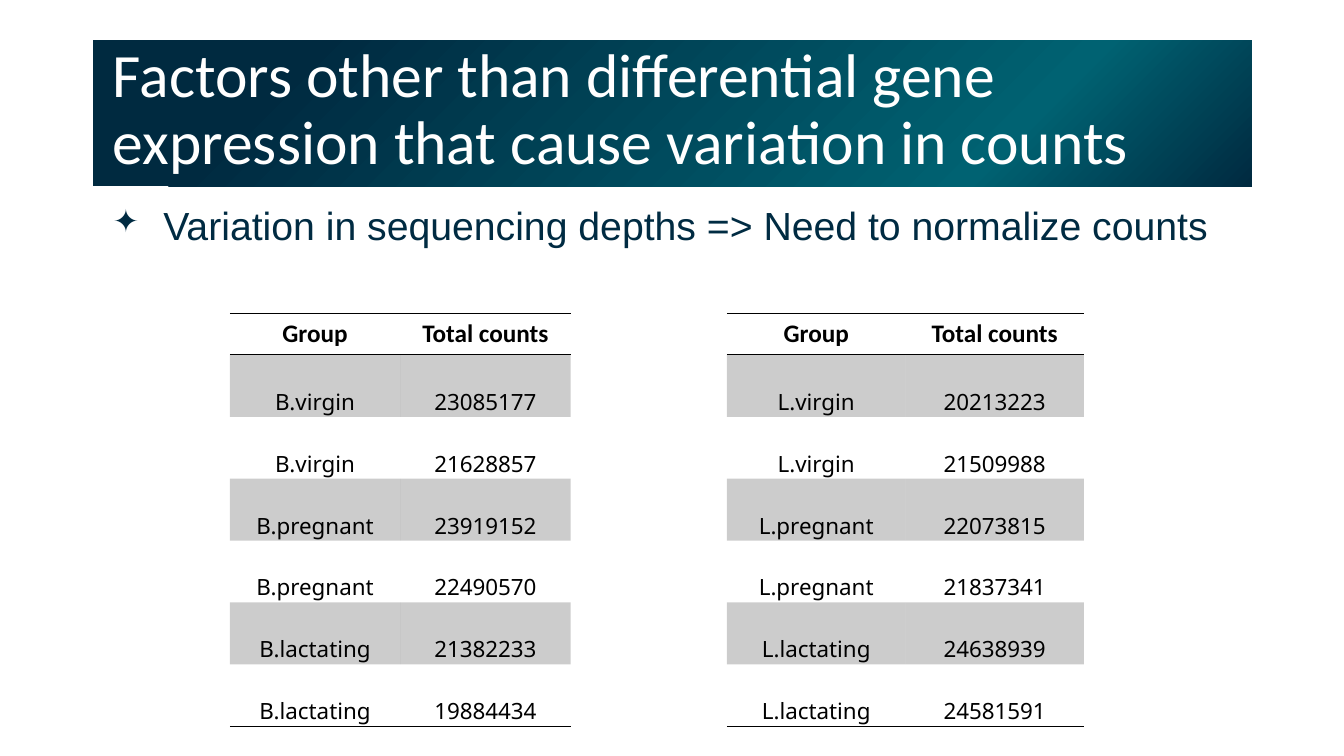
from lxml import etree
from pptx import Presentation
from pptx.dml.color import RGBColor
from pptx.enum.shapes import MSO_SHAPE
from pptx.enum.text import MSO_ANCHOR, MSO_AUTO_SIZE, PP_ALIGN
from pptx.oxml import parse_xml
from pptx.oxml.ns import nsdecls, qn
from pptx.util import Inches, Pt

RECTANGLE = MSO_SHAPE.RECTANGLE
TOP, MIDDLE, BOTTOM = MSO_ANCHOR.TOP, MSO_ANCHOR.MIDDLE, MSO_ANCHOR.BOTTOM
GROW = MSO_AUTO_SIZE.SHAPE_TO_FIT_TEXT
LEFT, CENTER = PP_ALIGN.LEFT, PP_ALIGN.CENTER
PLAIN_TABLE = "{2D5ABB26-0587-4C30-8999-92F81FD0307C}"

NAVY, TEAL, WHITE, BLACK = "002A40", "006272", "FFFFFF", "000000"
BANNER_STOPS = [(0, NAVY), (22, TEAL), (83, NAVY), (100, NAVY)]

TITLE = "Factors other than differential gene expression that cause variation in counts"
MESSAGE = "Variation in sequencing depths => Need to normalize counts"
HEADINGS = ("Group", "Total counts")
STAGES = ("virgin", "virgin", "pregnant", "pregnant", "lactating", "lactating")
# Cell type: left edge and column width in percent of the slide, total counts
SAMPLES = {
    "B": (17.1, 12.68, (23085177, 21628857, 23919152, 22490570, 21382233, 19884434)),
    "L": (54.09, 13.28, (20213223, 21509988, 22073815, 21837341, 24638939, 24581591)),
}

FONTS = {
    "title": {"name": "Calibri", "size": Pt(44), "color": WHITE},
    "message": {"name": "Arial", "size": Pt(28), "color": "002B42"},
    "heading": {"name": "Calibri", "size": Pt(18), "color": BLACK, "bold": True},
    "count": {"name": "Noto Sans", "size": Pt(16), "color": BLACK, "bold": False},
}


def rgb(hex_code):
    return RGBColor.from_string(hex_code)


def set_all(target, **values):
    for name, value in values.items():
        setattr(target, name, value)


def margins(left, top, right, bottom):
    return {"margin_left": Inches(left), "margin_top": Inches(top),
            "margin_right": Inches(right), "margin_bottom": Inches(bottom)}


class SlideBuilder:
    """Lengths passed to the methods are percentages of the slide's size."""

    def __init__(self, deck):
        self.width, self.height = deck.slide_width, deck.slide_height
        self.slide = deck.slides.add_slide(deck.slide_layouts[6])

    def box(self, left, top, width, height):
        return (round(self.width * left / 100), round(self.height * top / 100),
                round(self.width * width / 100), round(self.height * height / 100))

    def put_text(self, frame, text, role, **paragraph_format):
        paragraph = frame.paragraphs[0]
        set_all(paragraph, **paragraph_format)
        run = paragraph.add_run()
        run.text = text
        style = dict(FONTS[role])
        run.font.color.rgb = rgb(style.pop("color"))
        set_all(run.font, **style)
        return paragraph

    def banner(self, place, text):
        banner = self.slide.shapes.add_shape(RECTANGLE, *self.box(*place))
        banner.shadow.inherit = False
        banner.line.fill.background()
        banner.fill.background()
        stops = "".join(f'<a:gs pos="{share * 1000}"><a:srgbClr val="{color}"/></a:gs>'
                        for share, color in BANNER_STOPS)
        gradient = parse_xml(
            f'<a:gradFill {nsdecls("a")} rotWithShape="1"><a:gsLst>{stops}</a:gsLst>'
            '<a:path path="circle"><a:fillToRect l="100000" t="100000"/></a:path>'
            '<a:tileRect r="-100000" b="-100000"/></a:gradFill>')
        properties = banner.element.spPr
        properties.replace(properties.find(qn("a:noFill")), gradient)
        set_all(banner.text_frame, word_wrap=True, vertical_anchor=MIDDLE,
                **margins(0.2, 0, 0.1, 0.05))
        self.put_text(banner.text_frame, text, "title", alignment=LEFT, line_spacing=0.9)

    def bullet(self, place, text):
        frame = self.slide.shapes.add_textbox(*self.box(*place)).text_frame
        set_all(frame, word_wrap=True, auto_size=GROW, vertical_anchor=TOP,
                **margins(0.2, 0, 0, 0))
        paragraph = self.put_text(frame, text, "message", line_spacing=0.9,
                                  space_before=Pt(10))
        layout = paragraph._p.get_or_add_pPr()
        layout.set("marL", str(Inches(0.5)))
        layout.set("indent", str(-Inches(0.5)))
        etree.SubElement(layout, qn("a:buSzPct"), val="80000")
        etree.SubElement(layout, qn("a:buChar"), char="✦")

    def rule(self, cell, edges):
        """Draw black lines on the given edges, T or B, of a cell."""
        for position, edge in enumerate(edges):
            line = parse_xml(
                f'<a:ln{edge} {nsdecls("a")} w="12700"><a:solidFill>'
                f'<a:srgbClr val="{BLACK}"/></a:solidFill></a:ln{edge}>')
            cell._tc.get_or_add_tcPr().insert(position, line)

    def shade(self, cell):
        cell.fill.solid()
        cell.fill.fore_color.rgb = rgb(BLACK)
        for color in cell._tc.tcPr.find(qn("a:solidFill")):
            etree.SubElement(color, qn("a:alpha"), val="20000")

    def counts_table(self, left, top, column_width, heading_height, row_height, rows):
        total_height = heading_height + row_height * len(rows)
        frame = self.slide.shapes.add_table(
            len(rows) + 1, len(HEADINGS),
            *self.box(left, top, column_width * len(HEADINGS), total_height))
        table = frame.table
        set_all(table, first_row=False, horz_banding=False)
        for style in frame.element.iter(qn("a:tableStyleId")):
            style.text = PLAIN_TABLE
        for column in table.columns:
            column.width = round(self.width * column_width / 100)
        for index, values in enumerate([HEADINGS, *rows]):
            share = row_height if index else heading_height
            table.rows[index].height = round(self.height * share / 100)
            for cell, value in zip(table.rows[index].cells, values):
                self.put_text(cell.text_frame, str(value),
                              "count" if index else "heading", alignment=CENTER)
                if index:
                    set_all(cell, vertical_anchor=BOTTOM, **margins(0.01, 0.01, 0.01, 0))
                if index % 2:
                    self.shade(cell)
                else:
                    cell.fill.background()
                if index == 0:
                    self.rule(cell, "TB")
                elif index == len(rows):
                    self.rule(cell, "B")


def main():
    deck = Presentation()
    set_all(deck, slide_width=Inches(13.33), slide_height=Inches(7.5))
    builder = SlideBuilder(deck)
    builder.bullet((6.9, 27.33, 86.25, 5.6), MESSAGE)
    builder.banner((6.9, 5.33, 86.25, 19.33), TITLE)
    for cell_type, (left, column_width, counts) in SAMPLES.items():
        rows = [(f"{cell_type}.{stage}", count) for stage, count in zip(STAGES, counts)]
        builder.counts_table(left, 41.47, column_width, 5.47, 8.19, rows)
    deck.save("out.pptx")


if __name__ == "__main__":
    main()
